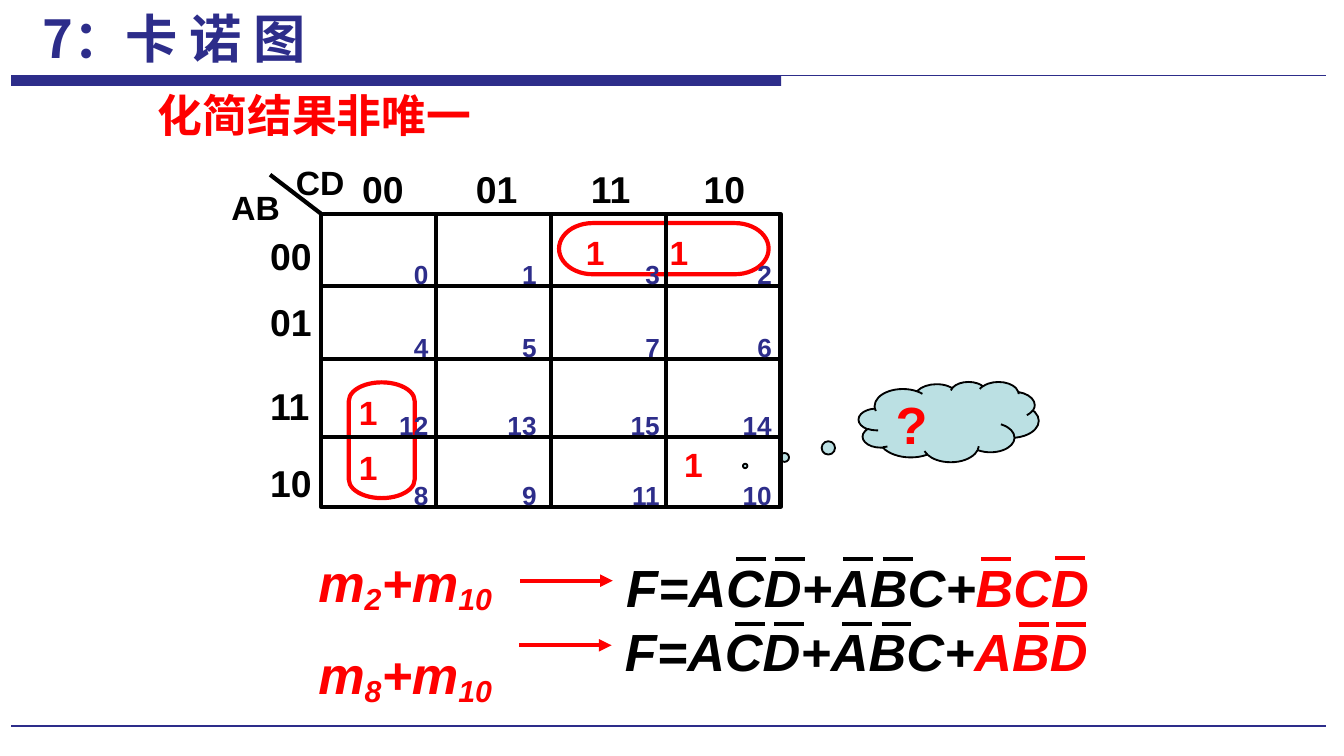
from lxml import etree
from pptx import Presentation
from pptx.dml.color import RGBColor
from pptx.enum import shapes, text
from pptx.oxml import ns
from pptx.util import Pt


class Theme:
    navy = RGBColor.from_string("2D2D8A")
    red = RGBColor.from_string("FF0000")
    black = RGBColor.from_string("000000")
    cloud = RGBColor.from_string("BBE0E3")
    latin, chinese = "Arial", "Noto Sans CJK SC"
    formula, subtitle, code, variable, index = 28, 24, 20, 18, 14
    stroke = 2.25


def write(frame, lines, size, colour, font=Theme.latin, italic=False,
          tabs=(), align="l", gap=0):
    """Fill a text frame; tabs are stops in points, gap parts the paragraphs."""
    frame.word_wrap = True
    frame.vertical_anchor = text.MSO_ANCHOR.TOP
    frame.margin_left = frame.margin_right = Pt(6.5)
    frame.margin_top = frame.margin_bottom = Pt(3)
    for number, line in enumerate(lines):
        para = frame.add_paragraph() if number else frame.paragraphs[0]
        if tabs:
            stops = etree.SubElement(para._p.get_or_add_pPr(), ns.qn("a:tabLst"))
            for stop in tabs:
                etree.SubElement(stops, ns.qn("a:tab"), pos=str(Pt(stop)), algn=align)
        para.alignment = text.PP_ALIGN.LEFT
        para.line_spacing = 0.9
        if number:
            para.space_before = Pt(gap)
        para.font.size, para.font.bold, para.font.italic = Pt(size), True, italic
        para.font.color.rgb = colour
        para.font.name = font
        if font == Theme.chinese:
            etree.SubElement(para.font._element, ns.qn("a:ea"), typeface=font)
        if line:
            para.add_run().text = line
    return frame


def draw_line(x1, y1, x2, y2, colour=Theme.black, width=Theme.stroke, arrow=False):
    line = page.shapes.add_connector(
        shapes.MSO_CONNECTOR.STRAIGHT, Pt(x1), Pt(y1), Pt(x2), Pt(y2))
    line.line.color.rgb = colour
    line.line.width = Pt(width)
    if arrow:
        etree.SubElement(line.line._get_or_add_ln(), ns.qn("a:tailEnd"), type="triangle")
    etree.SubElement(line._element.spPr, ns.qn("a:effectLst"))


deck = Presentation()
deck.slide_width, deck.slide_height = Pt(720), Pt(405)
page = deck.slides.add_slide(deck.slide_layouts[6])

# Header and footer rules
bar = page.shapes.add_shape(shapes.MSO_SHAPE.RECTANGLE, Pt(6), Pt(40.5), Pt(412.5), Pt(5.5))
bar.shadow.inherit = False
bar.fill.solid()
bar.fill.fore_color.rgb = Theme.navy
bar.line.fill.background()
draw_line(6, 40.5, 710.6, 40.5, Theme.navy, 0.75)
draw_line(6, 388.8, 710.6, 388.8, Theme.navy, 1.25)

# Title and subtitle
box = page.shapes.add_textbox(Pt(12.2), Pt(0.6), Pt(162), Pt(41))
title = write(box.text_frame, ["7：卡 诺 图"], Theme.formula, Theme.navy, Theme.chinese)
title.word_wrap = False
title.paragraphs[0].alignment = text.PP_ALIGN.CENTER
title.paragraphs[0].line_spacing = 1.0
box = page.shapes.add_textbox(Pt(78), Pt(47), Pt(394), Pt(32))
write(box.text_frame, ["化简结果非唯一"], Theme.subtitle, Theme.red, Theme.chinese)

# Loops round neighbouring ones
for left, top, width, height, turn in ((299.5, 119.5, 112.3, 27.4, 0),
                                       (173.5, 218.2, 62, 35.3, 90)):
    ring = page.shapes.add_shape(shapes.MSO_SHAPE.FLOWCHART_TERMINATOR,
                                 Pt(left), Pt(top), Pt(width), Pt(height))
    ring.rotation = turn
    ring.shadow.inherit = False
    ring.fill.background()
    ring.line.color.rgb = Theme.red
    ring.line.width = Pt(Theme.stroke)

# Ones in the map
for left, top, width, height, lines, tabs in (
        (297.3, 123.7, 120, 27, ["\t1\t1"], (10, 55)),
        (360, 237.5, 53, 27, ["1"], ()),
        (175.7, 209.4, 120, 58, ["\t1", "\t1"], (10,))):
    box = page.shapes.add_textbox(Pt(left), Pt(top), Pt(width), Pt(height))
    write(box.text_frame, lines, Theme.variable, Theme.red, tabs=tabs, gap=10)

# Question cloud pointing at the last one
cloud = page.shapes.add_shape(shapes.MSO_SHAPE.CLOUD_CALLOUT,
                              Pt(460), Pt(204.5), Pt(96.5), Pt(43))
cloud.adjustments[0], cloud.adjustments[1] = -1.13, 0.55
cloud.shadow.inherit = False
cloud.fill.solid()
cloud.fill.fore_color.rgb = Theme.cloud
cloud.line.color.rgb = Theme.black
cloud.line.width = Pt(1)
write(cloud.text_frame, ["?"], Theme.formula, Theme.red)

# Karnaugh map grid
grid_left, grid_top, grid_width, grid_height = 172, 114.5, 246.2, 157
grid_right, grid_bottom = grid_left + grid_width, grid_top + grid_height
frame = page.shapes.add_shape(shapes.MSO_SHAPE.RECTANGLE, Pt(grid_left), Pt(grid_top),
                              Pt(grid_width), Pt(grid_height))
frame.shadow.inherit = False
frame.fill.background()
frame.line.color.rgb = Theme.black
frame.line.width = Pt(Theme.stroke)
for y in (153.4, 192.2, 234):
    draw_line(grid_left, y, grid_right, y)
for column in range(1, 4):
    x = grid_left + column * grid_width / 4
    draw_line(x, grid_top, x, grid_bottom)
draw_line(grid_left, grid_top, 144.7, 93.6)

# Map labels
box = page.shapes.add_textbox(Pt(165.6), Pt(88.6), Pt(253), Pt(28))
write(box.text_frame, ["\t00\t01\t11\t10"], Theme.code, Theme.black,
      tabs=[33 + 61 * column for column in range(4)], align="ctr")
for name, left, top in (("CD", 152, 86.4), ("AB", 117.4, 99.4)):
    box = page.shapes.add_textbox(Pt(left), Pt(top), Pt(62), Pt(26))
    write(box.text_frame, [name], Theme.variable, Theme.black)
for code, code_top, cells, cells_top in (
        ("00", 124.6, (0, 1, 3, 2), 137.5),
        ("01", 159.8, (4, 5, 7, 6), 176.4),
        ("11", 205.2, (12, 13, 15, 14), 218.2),
        ("10", 246.2, (8, 9, 11, 10), 255.6)):
    box = page.shapes.add_textbox(Pt(138.2), Pt(code_top), Pt(47.5), Pt(28))
    write(box.text_frame, [code], Theme.code, Theme.black)
    box = page.shapes.add_textbox(Pt(206), Pt(cells_top), Pt(234), Pt(21.6))
    write(box.text_frame, ["".join(f"\t{cell}" for cell in cells)],
          Theme.index, Theme.navy, tabs=(17, 75, 141, 201), align="r")

# Merged minterms
box = page.shapes.add_textbox(Pt(164), Pt(294.5), Pt(135), Pt(84))
minterms = write(box.text_frame, ["", ""], Theme.formula, Theme.red, italic=True, gap=17)
for para, first in zip(minterms.paragraphs, ("2", "8")):
    for part in ("m", first, "+m", "10"):
        span = para.add_run()
        span.text = part
        if part.isdigit():
            span.font._element.set("baseline", "-15000")

# Resulting formulas, with negation bars and arrows
for left, top, last_term, last_bars in (
        (328.3, 297.4, "BCD", ((197.3, 2.1), (236.9, 1.4))),
        (327.6, 332, "ABD", ((218.2, 2.6), (238.3, 2.6)))):
    box = page.shapes.add_textbox(Pt(left + 0.7), Pt(top + 0.6), Pt(273), Pt(37.5))
    formula = write(box.text_frame, ["F=ACD+ABC+"], Theme.formula, Theme.black, italic=True)
    span = formula.paragraphs[0].add_run()
    span.text = last_term
    span.font.color.rgb = Theme.red
    for offset in (66.2, 87.1, 123.5, 144.7):
        draw_line(left + offset, top + 2.2, left + offset + 16, top + 2.2)
    for offset, drop in last_bars:
        draw_line(left + offset, top + drop, left + offset + 16, top + drop, Theme.red)
    draw_line(left - 49.5, top + 13.7, left, top + 13.7, Theme.red, arrow=True)

deck.save("out.pptx")
